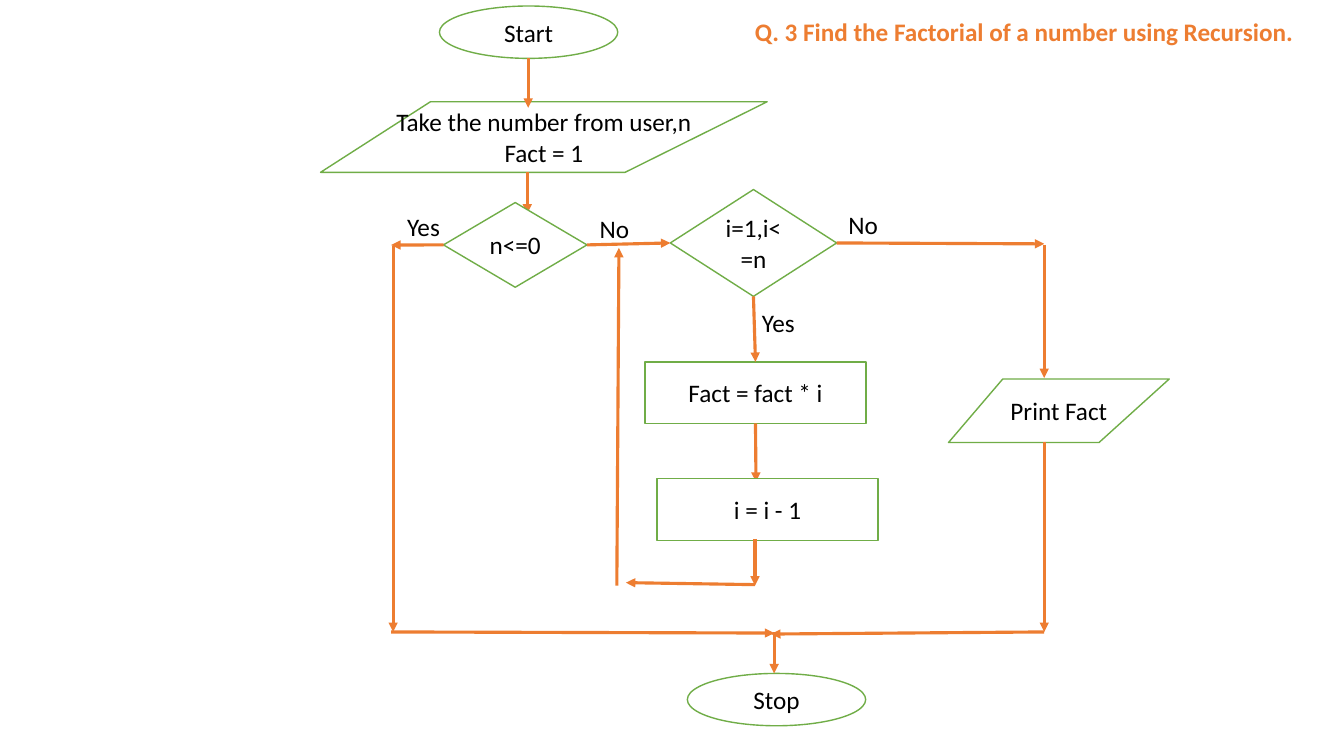
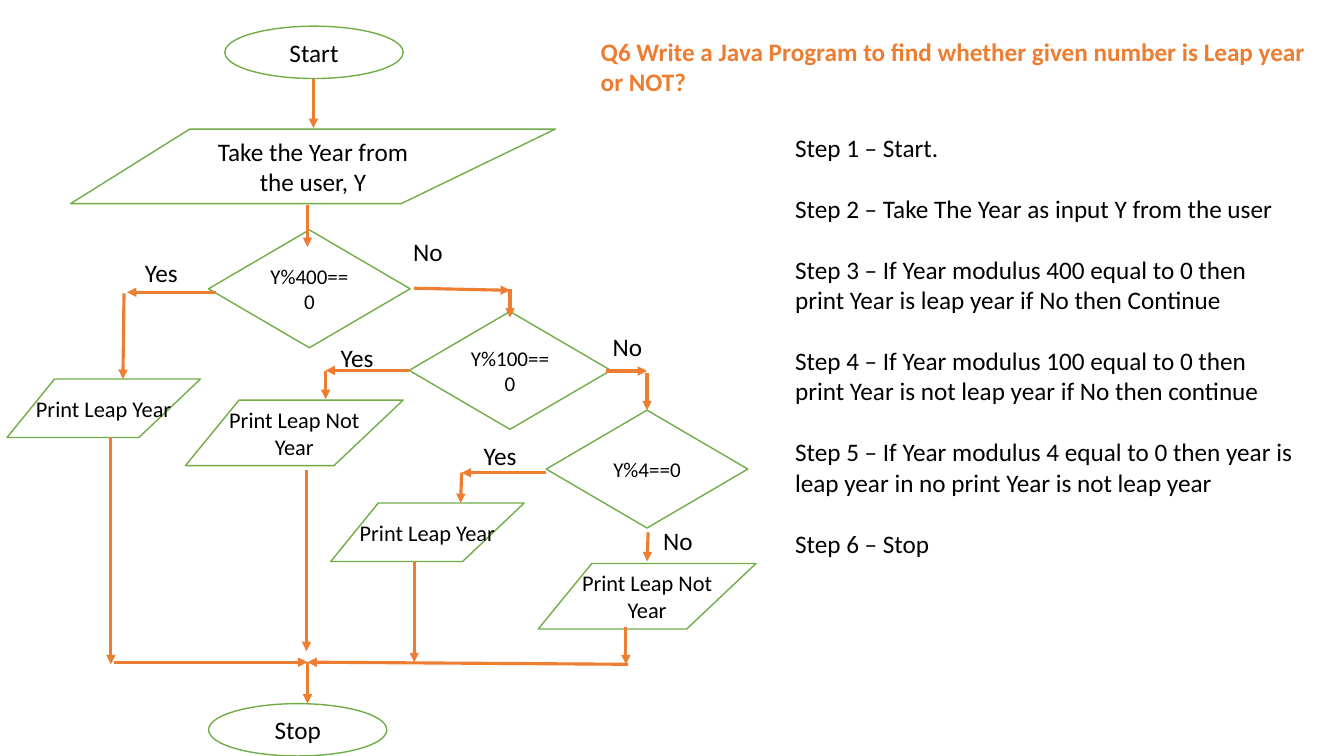
"""Build two flowchart slides: factorial and leap year."""
from lxml.etree import SubElement
from pptx import Presentation
from pptx.dml.color import RGBColor
from pptx.enum.shapes import MSO_CONNECTOR as Wire, MSO_SHAPE as Form
from pptx.enum.text import MSO_ANCHOR as Anchor, MSO_AUTO_SIZE as Fit, PP_ALIGN as Align
from pptx.oxml.ns import qn
from pptx.util import Pt

hue = RGBColor.from_string
WHITE, BLACK, GREEN, ORANGE = "FFFFFF", "000000", "70AD47", "ED7D31"
FORMS = {"oval": Form.OVAL, "rect": Form.RECTANGLE, "rhomb": Form.DIAMOND}
OVAL = (127.4, 37.4)
RECT = (157.7, 43.9)
RHOMB = (144, 84.2)
LEAP = (138.2, 41.8)
NOT = (155.5, 46.8)
NEAR = 2


def write(shape, text, size=18, color=BLACK, bold=False, align=Align.LEFT,
          anchor=Anchor.TOP, gap=0):
    frame = shape.text_frame
    frame.word_wrap = True
    frame.auto_size = Fit.NONE
    frame.vertical_anchor = anchor
    for i, line in enumerate(text.split("\n")):
        para = frame.add_paragraph() if i else frame.paragraphs[0]
        para.alignment = align
        if i and gap:
            para.space_before = Pt(gap)
        run = para.add_run()
        run.text = line
        run.font.name = "Calibri"
        run.font.size = Pt(size)
        run.font.bold = bold
        run.font.color.rgb = hue(color)


fact = (
    "Q. 3 Find the Factorial of a number using Recursion.",
    (532.1, 7.9, 427, 51),
    [
        ("oval", 313.9, 4.3, *OVAL, "Start", 18),
        ("slant", 229, 72.7, 319, 50.4, "Take the number from user,n\nFact = 1", 18),
        ("rect", 460.8, 258.5, *RECT, "Fact = fact * i", 18),
        ("rhomb", 478.8, 135.4, 118.8, 76.3, "i=1,i<=n", 18),
        ("slant", 677.5, 270.7, 157.7, 45.4, "Print Fact", 18),
        ("oval", 491, 481, *OVAL, "Stop", 18),
        ("arrow", 377.3, 41.8, 377.3, 77),
        ("arrow", 376.6, 123.1, 376.6, 152.6),
        ("arrow", 539.3, 302.4, 540, 344.2),
        ("rect", 469.4, 342, *RECT, "i = i - 1", 18),
        ("rhomb", 316.8, 144.7, 102.5, 60.5, "n<=0", 18),
        ("arrow", 539.3, 210.2, 539.3, 258.5),
        ("arrow", 539.3, 417.6, 447.1, 416.2),
        ("arrow", 419, 175, 479, 174),
        ("arrow", 440.6, 418.3, 442.1, 177.1),
        ("arrow", 539.3, 385, 539.3, 418.3),
        ("arrow", 316.8, 175, 279.4, 175),
        ("arrow", 597.6, 173.5, 745.9, 174.2),
        ("arrow", 745.9, 175, 745.9, 270),
        ("arrow", 280.8, 175.7, 280.8, 451.4),
        ("arrow", 553, 451.4, 553, 481),
        ("arrow", 745.9, 315.4, 745.9, 451.4),
        ("arrow", 745.9, 451.4, 550.8, 452.9),
        ("arrow", 279.4, 451.4, 553, 452.2),
    ],
    [("Yes", 283.7, 147.6), ("No", 421.2, 149), ("Yes", 537.1, 216), ("No", 599, 146.2)],
)

leap = (
    "Q6 Write a Java Program to find whether given number is Leap year or NOT?",
    (421.9, 22.3, 535, 72.7),
    [
        ("oval", 160.6, 18.7, *OVAL, "Start", 18),
        ("slant", 50.4, 92.2, 346.3, 53.3, "Take the Year from\nthe user, Y", 18),
        ("rhomb", 149, 164.2, *RHOMB, "Y%400==0", 15),
        ("rhomb", 292.3, 222.5, *RHOMB, "Y%100==0", 15),
        ("rhomb", 390.2, 293, *RHOMB, "Y%4==0", 15),
        ("slant", 5, 270.7, *LEAP, "Print Leap Year", 16),
        ("slant", 132.5, 285.8, *NOT, "Print Leap Not\nYear", 16),
        ("slant", 236.2, 359.3, *LEAP, "Print Leap Year", 16),
        ("slant", 384.5, 402.5, *NOT, "Print Leap Not\nYear", 16),
        ("oval", 149, 502.6, *OVAL, "Stop", 18),
        ("arrow", 223.9, 56.2, 223.9, 91.4),
        ("arrow", 219.6, 146.2, 219.6, 176.4),
        ("arrow", 295.9, 205.9, 364.3, 207.4),
        ("arrow", 364.3, 206.6, 364.3, 226.8),
        ("arrow", 154.1, 208.8, 90.7, 208.8),
        ("arrow", 88.6, 209.5, 87.8, 270.7),
        ("arrow", 292.3, 264.6, 232.6, 264.6),
        ("arrow", 232.6, 265, 232.6, 285.1),
        ("arrow", 432.7, 265, 462.2, 265),
        ("arrow", 462.2, 266.4, 462.2, 293),
        ("arrow", 390.2, 337.7, 329.8, 337.7),
        ("arrow", 329.8, 337.7, 329, 359.3),
        ("arrow", 463, 380.2, 462.2, 401),
        ("arrow", 79.2, 312.5, 79.2, 474.5),
        ("arrow", 218.9, 335.5, 218.9, 465.1),
        ("arrow", 295.9, 401, 295.9, 473),
        ("arrow", 447.1, 447.8, 447.1, 474.5),
        ("arrow", 81.4, 473, 219.6, 473),
        ("arrow", 448.6, 474.5, 219.6, 473),
        ("arrow", 219.6, 473, 219.6, 502.6),
    ],
    [("Yes", 96.5, 180), ("No", 288, 165.6), ("Yes", 236.2, 241.2),
     ("No", 430.6, 233.3), ("No", 466.6, 371.5), ("Yes", 338.4, 311)],
)

steps = """Step 1 – Start.
Step 2 – Take The Year as input Y from the user
Step 3 – If Year modulus 400 equal to 0 then print Year is leap year if No then Continue
Step 4 – If Year modulus 100 equal to 0 then print Year is not leap year if No then continue
Step 5 – If Year modulus 4 equal to 0 then year is leap year in no print Year is not leap year
Step 6 – Stop"""

deck = Presentation()
deck.slide_width, deck.slide_height = Pt(960), Pt(540)

for head, place, parts, tags in (fact, leap):
    slide = deck.slides.add_slide(deck.slide_layouts[5])
    shapes = slide.shapes
    title = shapes.title
    title.left, title.top, title.width, title.height = map(Pt, place)
    write(title, head, color=ORANGE, bold=True)

    ports = []
    for kind, *spot in parts:
        if kind == "arrow":
            link = shapes.add_connector(Wire.STRAIGHT, *map(Pt, spot))
            link.line.color.rgb = hue(ORANGE)
            link.line.width = Pt(2.25)
            props = link._element.spPr
            SubElement(props.find(qn("a:ln")), qn("a:tailEnd"), type="triangle")
            SubElement(props, qn("a:effectLst"))
            for (x, y), join in ((spot[:2], link.begin_connect), (spot[2:], link.end_connect)):
                for node, side, px, py in ports:
                    if abs(x - px) <= NEAR and abs(y - py) <= NEAR:
                        join(node, side)
            continue
        x, y, w, h, text, size = spot
        if kind == "slant":
            pen = shapes.build_freeform(Pt(x + 0.246 * w), Pt(y))
            pen.add_line_segments([(Pt(x + w), Pt(y)), (Pt(x + 0.682 * w), Pt(y + h)),
                                   (Pt(x), Pt(y + h))], close=True)
            node = pen.convert_to_shape()
        else:
            node = shapes.add_shape(FORMS[kind], Pt(x), Pt(y), Pt(w), Pt(h))
        node.shadow.inherit = False
        node.fill.solid()
        node.fill.fore_color.rgb = hue(WHITE)
        node.line.color.rgb = hue(GREEN)
        node.line.width = Pt(1)
        write(node, text, size=size, align=Align.CENTER, anchor=Anchor.MIDDLE)
        if kind in ("rect", "rhomb"):
            ports += [(node, 0, x + w / 2, y), (node, 1, x, y + h / 2),
                      (node, 2, x + w / 2, y + h), (node, 3, x + w, y + h / 2)]

    for text, x, y in tags:
        write(shapes.add_textbox(Pt(x), Pt(y), Pt(52.6), Pt(28.8)), text)

write(shapes.add_textbox(Pt(560.9), Pt(90.7), Pt(371.5), Pt(334)), steps, gap=22)
deck.save("out.pptx")
